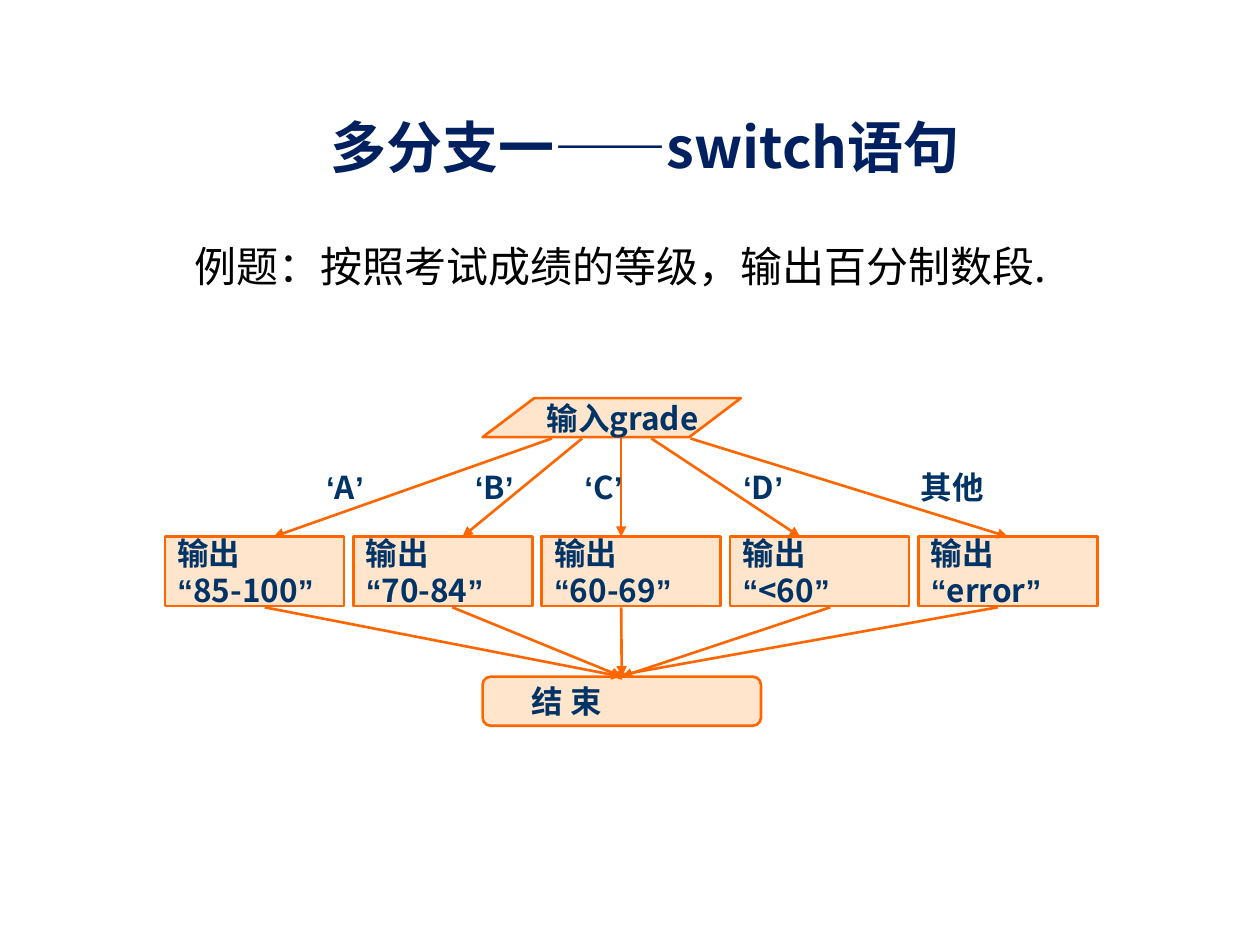
from itertools import groupby
from typing import NamedTuple

from lxml.etree import SubElement
from pptx import Presentation
from pptx.dml.color import RGBColor
from pptx.enum.shapes import MSO_CONNECTOR, MSO_SHAPE
from pptx.enum.text import MSO_ANCHOR, MSO_AUTO_SIZE, PP_ALIGN
from pptx.oxml.ns import qn
from pptx.util import Inches, Pt

FONT = "Noto Sans CJK SC"
QUOTES = "‘’“”"
INK, EDGE, FILL = "003366", "FF6600", "FFCC99"
IN_BASE, BOX_TOP, BOX_BASE, END_TOP = 3.48, 4.26, 4.82, 5.37
BOX_LEFT, BOX_STEP = 1.31, 1.495


class Branch(NamedTuple):
    label: str
    label_x: float
    result: str
    start: float
    tip: float
    out: float
    goal: float = 4.93


BRANCHES = [
    Branch("‘A’", 2.49, "“85-100”", 4.38, 2.17, 2.1),
    Branch("‘B’", 3.67, "“70-84”", 4.62, 3.67, 3.59),
    Branch("‘C’", 4.54, "“60-69”", 4.93, 4.93, 4.93),
    Branch("‘D’", 5.8, "“<60”", 5.17, 6.35, 6.59),
    Branch("其他", 7.21, "“error”", 5.48, 8, 7.92, 4.85),
]


def paint(target, color: str) -> None:
    """Give a fill, or the font of a run, a solid colour."""
    if hasattr(target, "solid"):
        target.solid()
        target.fore_color.rgb = RGBColor.from_string(color)
    else:
        target.color.rgb = RGBColor.from_string(color)


def style(run, size: float, color: str, bold: bool, name: str = FONT) -> None:
    font = run.font
    font.size, font.bold, font.name = Pt(size), bold, name
    paint(font, color)
    SubElement(font._element, qn("a:ea")).set("typeface", FONT)


def write(frame, text: str) -> None:
    """Fill a frame with bold lines, with the quote marks in Arial."""
    frame.word_wrap = False
    frame.auto_size = MSO_AUTO_SIZE.NONE
    frame.vertical_anchor = MSO_ANCHOR.MIDDLE
    for i, line in enumerate(text.split("\n")):
        para = frame.add_paragraph() if i else frame.paragraphs[0]
        para.alignment = PP_ALIGN.LEFT
        for quote, chars in groupby(line, lambda c: c in QUOTES):
            run = para.add_run()
            run.text = "".join(chars)
            style(run, 18, INK, True, "Arial" if quote else FONT)


def place(shape, x: float, y: float, w: float, h: float) -> None:
    shape.left, shape.top = Inches(x), Inches(y)
    shape.width, shape.height = Inches(w), Inches(h)


def add_node(slide, kind, x: float, y: float, w: float, h: float, text: str):
    node = slide.shapes.add_shape(kind, Inches(x), Inches(y), Inches(w), Inches(h))
    node.shadow.inherit = False
    paint(node.fill, FILL)
    tint = node._element.spPr.find(qn("a:solidFill"))[0]
    SubElement(tint, qn("a:alpha")).set("val", "50000")
    paint(node.line.fill, EDGE)
    node.line.width = Pt(1.5)
    write(node.text_frame, text)
    return node


def add_arrow(slide, x1: float, y1: float, x2: float, y2: float):
    arrow = slide.shapes.add_connector(
        MSO_CONNECTOR.STRAIGHT, Inches(x1), Inches(y1), Inches(x2), Inches(y2))
    paint(arrow.line.fill, EDGE)
    arrow.line.width = Pt(1.5)
    props = arrow._element.spPr
    SubElement(props.find(qn("a:ln")), qn("a:tailEnd")).set("type", "triangle")
    SubElement(props, qn("a:effectLst"))
    return arrow


def add_label(slide, x: float, text: str) -> None:
    box = slide.shapes.add_textbox(Inches(x), Inches(3.71), Inches(0.39), Inches(0.31))
    write(box.text_frame, text)


def add_heads(slide) -> None:
    """Set the title and the line that states the exercise."""
    title, body = slide.placeholders
    place(title, 1.3, 0.84, 7.64, 0.64)
    title.text_frame.text = "多分支一——switch语句"
    title.text_frame.vertical_anchor = MSO_ANCHOR.MIDDLE
    para = title.text_frame.paragraphs[0]
    para.alignment = PP_ALIGN.CENTER
    style(para.runs[0], 32, "002060", True)

    place(body, 0.44, 1.86, 8.2, 0.51)
    body.text_frame.text = "例题：按照考试成绩的等级，输出百分制数段."
    body.text_frame.auto_size = MSO_AUTO_SIZE.NONE
    para = body.text_frame.paragraphs[0]
    para.level = 2
    para.space_before = Pt(0)
    props = para._p.get_or_add_pPr()
    props.set("marL", str(Inches(1)))
    props.set("indent", "0")
    SubElement(props, qn("a:buNone"))
    style(para.runs[0], 24, "000000", False)


def main() -> None:
    deck = Presentation()
    deck.slide_width, deck.slide_height = Inches(10), Inches(7.5)
    slide = deck.slides.add_slide(deck.slide_layouts[1])
    add_heads(slide)
    add_node(slide, MSO_SHAPE.FLOWCHART_DATA, 3.83, 3.16, 2.05, 0.31, "输入grade")
    end = add_node(slide, MSO_SHAPE.FLOWCHART_ALTERNATE_PROCESS,
                   3.83, END_TOP, 2.21, 0.39, "结 束")
    end.text_frame.margin_left = Inches(0.37)
    for i, branch in enumerate(BRANCHES):
        add_node(slide, MSO_SHAPE.RECTANGLE, BOX_LEFT + i * BOX_STEP, BOX_TOP,
                 1.42, 0.55, "输出\n" + branch.result)
    for branch in BRANCHES:
        add_arrow(slide, branch.start, IN_BASE, branch.tip, BOX_TOP)
        add_label(slide, branch.label_x, branch.label)
        arrow = add_arrow(slide, branch.out, BOX_BASE, branch.goal, END_TOP)
        if branch.goal == 4.93:
            arrow.end_connect(end, 0)
    deck.save("out.pptx")


if __name__ == "__main__":
    main()
